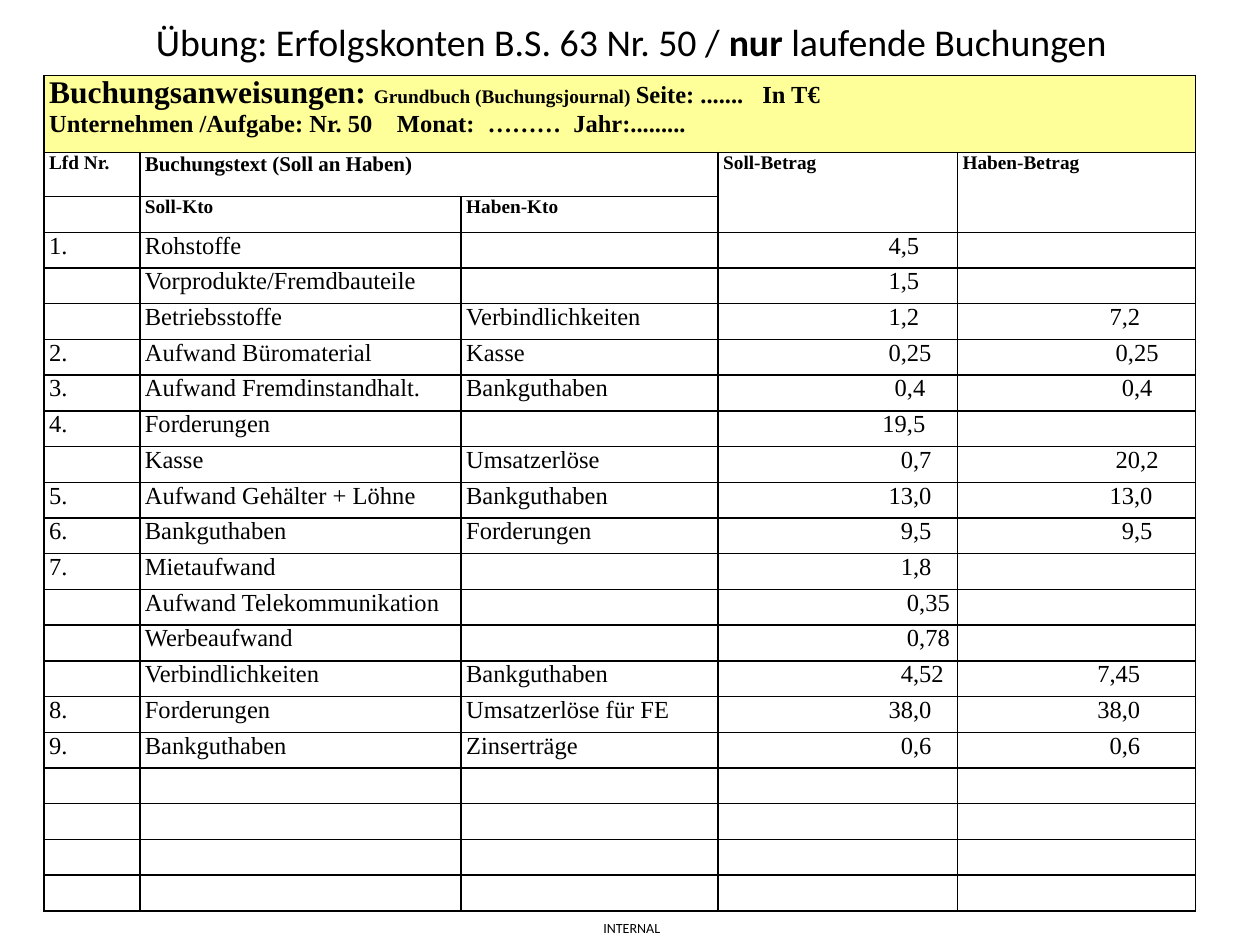
"""Build the journal entry exercise slide with its booking table."""
from lxml.etree import SubElement
from pptx import Presentation
from pptx.dml.color import RGBColor as RGB
from pptx.enum.text import MSO_ANCHOR as ANCHOR, PP_ALIGN as ALIGN
from pptx.oxml.ns import qn
from pptx.util import Inches, Pt

THEME = {
    "sans": "Calibri", "serif": "Times New Roman",
    "ink": RGB(0, 0, 0), "banner": RGB(0xFF, 0xFF, 0x99),
    "title": 21.6, "heading": 18, "body": 14, "group": 12, "label": 11, "footer": 8,
    "border": 1, "indent": 3.5,
}
TITLE = [("Übung: Erfolgskonten B.S. 63 Nr. 50 / ", False), ("nur", True),
         (" laufende Buchungen", False)]
FOOTER = "INTERNAL"
BANNER = [
    [("Buchungsanweisungen: ", "heading"), ("Grundbuch (Buchungsjournal) ", "label"),
     ("Seite: .......\tIn T€", "body")],
    [("Unternehmen /Aufgabe: Nr. 50\tMonat:\t………\tJahr:.........", "body")],
]
BANNER_TABS = [2.76, 3.48, 4.16, 5.66]
HEADERS = [
    [("Lfd Nr.", "label"), ("Buchungstext (Soll an Haben)", "group"), None,
     ("Soll-Betrag", "label"), ("Haben-Betrag", "label")],
    [None, ("Soll-Kto", "label"), ("Haben-Kto", "label"), None, None],
]
NONE = ("", 0)
ENTRIES = [
    ("1.", "Rohstoffe", "", ("4,5", 27), NONE),
    ("", "Vorprodukte/Fremdbauteile", "", ("1,5", 27), NONE),
    ("", "Betriebsstoffe", "Verbindlichkeiten", ("1,2", 27), ("7,2", 24)),
    ("2.", "Aufwand Büromaterial", "Kasse", ("0,25", 27), ("0,25", 25)),
    ("3.", "Aufwand Fremdinstandhalt.", "Bankguthaben", ("0,4", 28), ("0,4", 26)),
    ("4.", "Forderungen", "", ("19,5", 26), NONE),
    ("", "Kasse", "Umsatzerlöse", ("0,7", 29), ("20,2", 25)),
    ("5.", "Aufwand Gehälter + Löhne", "Bankguthaben", ("13,0", 27), ("13,0", 24)),
    ("6.", "Bankguthaben", "Forderungen", ("9,5", 29), ("9,5", 26)),
    ("7.", "Mietaufwand", "", ("1,8", 29), NONE),
    ("", "Aufwand Telekommunikation", "", ("0,35", 30), NONE),
    ("", "Werbeaufwand", "", ("0,78", 30), NONE),
    ("", "Verbindlichkeiten", "Bankguthaben", ("4,52", 29), ("7,45", 22)),
    ("8.", "Forderungen", "Umsatzerlöse für FE", ("38,0", 27), ("38,0", 22)),
    ("9.", "Bankguthaben", "Zinserträge", ("0,6", 29), ("0,6", 24)),
]
SPARE_ROWS = 4
LEFT, TOP, BOTTOM = 0.35, 0.6, 7.23
COLUMNS = [0.76, 2.55, 2.04, 1.9, 1.89]
TOP_ROWS = [0.61, 0.35]
FRAME = {"margin_left": Inches(0.04), "margin_right": Inches(0.04),
         "margin_top": 0, "margin_bottom": 0}


def apply(obj, values):
    for name, value in values.items():
        setattr(obj, name, value)


def add_run(p, text, size, font="serif", bold=False):
    r = p.add_run()
    r.text = text
    apply(r.font, {"name": THEME[font], "size": Pt(THEME[size]), "bold": bold})
    r.font.color.rgb = THEME["ink"]


def add_label(slide, box, runs, size, wrap):
    tf = slide.shapes.add_textbox(*map(Inches, box)).text_frame
    apply(tf, {"margin_left": 0, "margin_right": 0, "margin_top": 0, "margin_bottom": 0,
               "word_wrap": wrap, "vertical_anchor": ANCHOR.MIDDLE})
    p = tf.paragraphs[0]
    p.alignment = ALIGN.CENTER
    for text, bold in runs:
        add_run(p, text, size, "sans", bold)


def style_cell(cell, open_side):
    apply(cell, FRAME)
    tc_pr = cell._tc.get_or_add_tcPr()
    for side in "LRTB":
        ln = SubElement(tc_pr, qn(f"a:ln{side}"), w=str(Pt(THEME["border"])))
        if side == open_side:
            SubElement(ln, qn("a:noFill"))
        else:
            fill = SubElement(ln, qn("a:solidFill"))
            SubElement(fill, qn("a:srgbClr"), val=str(THEME["ink"]))
    cell.fill.background()


def write_cell(cell, text, size="body", bold=False, indent=0):
    p = cell.text_frame.paragraphs[0]
    if indent:
        p._p.get_or_add_pPr().set("marL", str(Pt(indent * THEME["indent"])))
    if text:
        add_run(p, text, size, bold=bold)
    else:
        p._p.get_or_add_endParaRPr().set("sz", str(THEME[size] * 100))


def write_banner(cell):
    cell.fill.solid()
    cell.fill.fore_color.rgb = THEME["banner"]
    p = cell.text_frame.paragraphs[0]
    tabs = SubElement(p._p.get_or_add_pPr(), qn("a:tabLst"))
    for stop in BANNER_TABS:
        SubElement(tabs, qn("a:tab"), pos=str(Inches(stop)), algn="l")
    for i, line in enumerate(BANNER):
        if i:
            p.add_line_break()
        for text, size in line:
            add_run(p, text, size, bold=True)


def add_journal(slide):
    small_rows = 1 + len(ENTRIES) + SPARE_ROWS
    small = (BOTTOM - TOP - sum(TOP_ROWS)) / small_rows
    heights = TOP_ROWS + [small] * small_rows
    table = slide.shapes.add_table(
        len(heights), len(COLUMNS), Inches(LEFT), Inches(TOP),
        Inches(sum(COLUMNS)), Inches(sum(heights))).table
    apply(table, {"first_row": False, "horz_banding": False})
    for column, width in zip(table.columns, COLUMNS):
        column.width = Inches(width)
    for row, height in zip(table.rows, heights):
        row.height = Inches(height)

    open_sides = {(row, col): side for row, side in ((1, "B"), (2, "T")) for col in (3, 4)}
    for row in range(len(heights)):
        for col in range(len(COLUMNS)):
            style_cell(table.cell(row, col), open_sides.get((row, col)))
    table.cell(0, 0).merge(table.cell(0, 4))
    table.cell(1, 1).merge(table.cell(1, 2))

    write_banner(table.cell(0, 0))
    for row, headers in enumerate(HEADERS, 1):
        for col, header in enumerate(headers):
            write_cell(table.cell(row, col), *(header or ("", "label")), bold=True)
    blank = ("", "", "", NONE, NONE)
    for row, entry in enumerate(ENTRIES + [blank] * SPARE_ROWS, 1 + len(HEADERS)):
        for col, value in enumerate(entry):
            text, indent = value if isinstance(value, tuple) else (value, 0)
            write_cell(table.cell(row, col), text, indent=indent)


def main():
    prs = Presentation()
    apply(prs, {"slide_width": Inches(10), "slide_height": Inches(7.5)})
    slide = prs.slides.add_slide(prs.slide_layouts[6])
    add_label(slide, (4.78, 7.3, 0.47, 0.13), [(FOOTER, False)], "footer", False)
    add_label(slide, (0.51, 0.13, 9, 0.39), TITLE, "title", True)
    add_journal(slide)
    prs.save("out.pptx")


if __name__ == "__main__":
    main()
